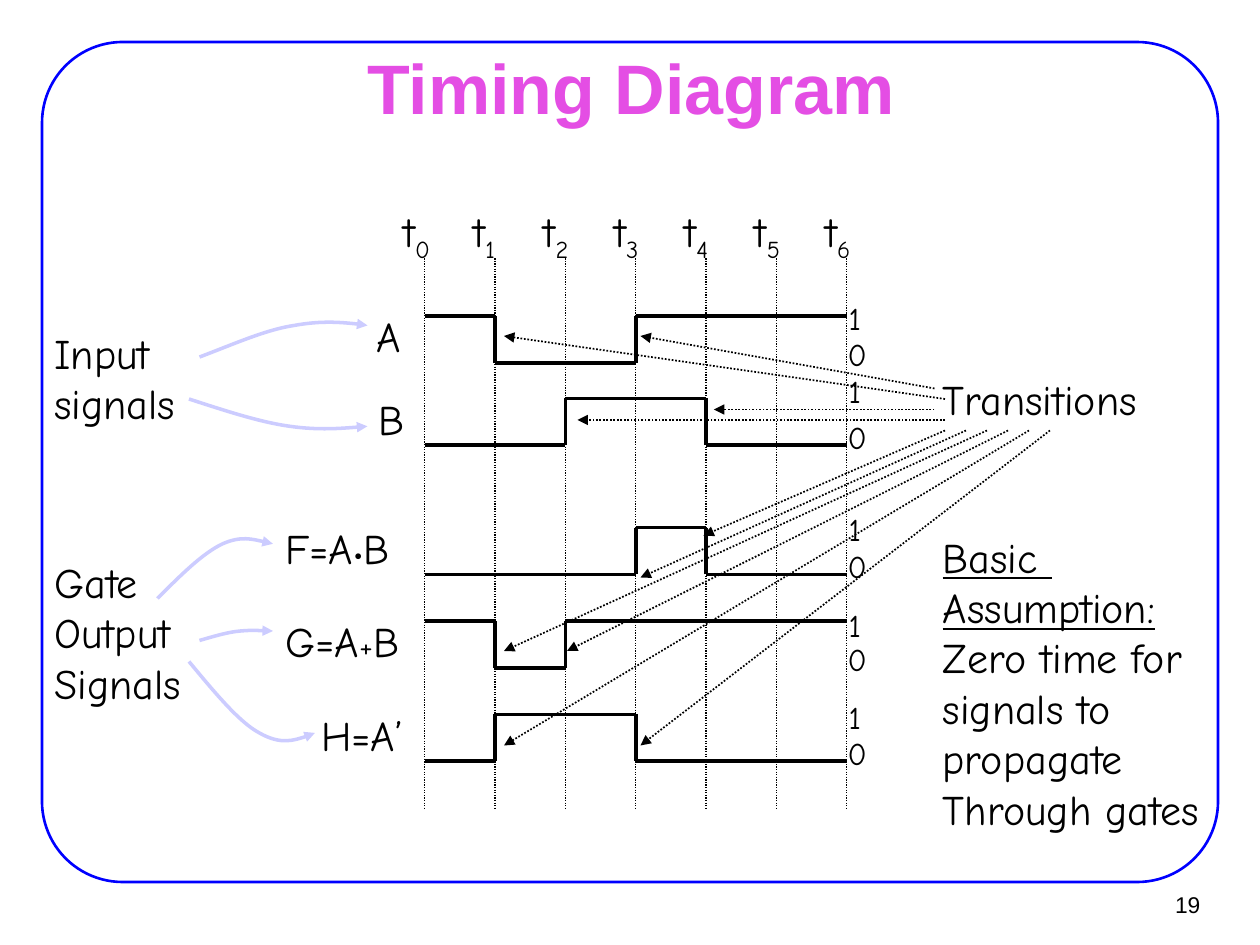
from itertools import pairwise
from lxml.etree import SubElement
from pptx import Presentation
from pptx.dml.color import RGBColor
from pptx.enum.dml import MSO_LINE
from pptx.enum.shapes import MSO_CONNECTOR, MSO_SHAPE
from pptx.enum.text import MSO_ANCHOR, MSO_AUTO_SIZE, PP_ALIGN
from pptx.oxml.ns import qn
from pptx.util import Inches, Pt

COLORS = {"ink": "000000", "title": "E44EE4", "frame": "0000FF", "pointer": "CCCCFF"}
COLUMNS, ROWS = 120, 90
FIRST_TICK, PERIOD, SWING = 40.45, 6.7, 4.45
SMALL = {"size": 18}

# name spans, label column, label width, top row, row of the "1", level per period
SIGNALS = [
    (["A"], 34.7, 5.4, 30.1, 27.85, "100111"),
    (["B"], 34.9, 4.9, 37.95, 34.8, "001100"),
    ([[("F=A", {}), ("•", SMALL), ("B", {})]], 26, 13.4, 50.25, 48, "000100"),
    ([[("G=A", {}), ("+", SMALL), ("B", {})]], 26, 14, 59.15, 57.1, "101111"),
    (["H=A’"], 29.4, 11.2, 68.05, 65.9, "011000"),
]
TRANSITIONS = [
    ((90, 38), (48, 32)), ((89, 37), (61, 32)), ((89, 39), (68, 39)),
    ((90, 40), (55, 40)), ((90, 41), (67, 51)), ((92, 41), (61, 55)),
    ((94, 41), (48, 62)), ((96, 41), (54, 62)), ((98, 41), (48, 71)),
    ((100, 41), (61, 71)),
]
POINTERS = [
    [(19, 34), (22.2, 32.8), (25.3, 31.4), (28, 31), (30.7, 30.5), (34, 30.8), (35, 31)],
    [(18, 38), (21.4, 39.1), (24.7, 40.2), (27.6, 40.6), (30.4, 41), (34, 40.7), (35, 40.6)],
    [(15, 57), (17.2, 54.8), (19.3, 52.7), (21.2, 51.8), (23, 51), (25.3, 51.6), (26, 51.8)],
    [(18, 63), (20.4, 65.9), (22.8, 68.8), (24.7, 69.8), (26.8, 71), (29.3, 70.2), (30, 69.8)],
    [(19, 61), (20.4, 60.6), (21.7, 60.2), (22.9, 60.1), (24.1, 60), (25.6, 60.1), (26, 60.1)],
]


def grid(*units):
    """Turn grid units into slide lengths."""
    return [Inches(unit * 10 / COLUMNS) for unit in units]


def color(name):
    """Look up a colour by its role."""
    return RGBColor.from_string(COLORS[name])


def style_line(line, ink, width, dash=None, arrow=False):
    """Set colour, width, dash and arrowhead of a line."""
    line.color.rgb = color(ink)
    line.width = Pt(width)
    if dash:
        line.dash_style = dash
    if arrow:
        SubElement(line._get_or_add_ln(), qn("a:tailEnd"), type="triangle")


def add_line(page, start, end, width, **style):
    """Draw a straight black line between two grid points."""
    connector = page.shapes.add_connector(MSO_CONNECTOR.STRAIGHT, *grid(*start, *end))
    style_line(connector.line, "ink", width, **style)
    SubElement(connector._element.spPr, qn("a:effectLst"))


def add_curve(page, points):
    """Draw a curved pointer from a start point and Bézier triples."""
    start, *rest = [tuple(grid(*point)) for point in points]
    builder = page.shapes.build_freeform(*start)
    builder.add_line_segments(rest, close=False)
    shape = builder.convert_to_shape()
    shape.shadow.inherit = False
    shape.fill.background()
    steps = list(shape._element.iter(qn("a:lnTo")))
    outline = steps[0].getparent()
    for first in range(0, len(steps), 3):
        curve = SubElement(outline, qn("a:cubicBezTo"))
        for step in steps[first:first + 3]:
            curve.append(step[0])
            outline.remove(step)
    style_line(shape.line, "pointer", 2, arrow=True)


def add_text(page, place, lines, size=24, font="Comic Neue", ink="ink", bold=False,
             align=PP_ALIGN.LEFT, anchor=MSO_ANCHOR.TOP, wrap=False, grow=True):
    """Write lines, each a string or a list of spans with format changes."""
    box = page.shapes.add_textbox(*grid(*place))
    frame = box.text_frame
    frame.word_wrap = wrap
    frame.auto_size = MSO_AUTO_SIZE.SHAPE_TO_FIT_TEXT if grow else MSO_AUTO_SIZE.NONE
    frame.vertical_anchor = anchor
    for index, line in enumerate(lines):
        para = frame.add_paragraph() if index else frame.paragraphs[0]
        para.alignment = align
        for text, change in [(line, {})] if isinstance(line, str) else line:
            span = para.add_run()
            span.text = text
            span.font.name = font
            span.font.size = Pt(change.get("size", size))
            span.font.bold = bold
            span.font.underline = change.get("underline", False)
            span.font.color.rgb = color(ink)
            if "baseline" in change:
                span.font._element.set("baseline", str(change["baseline"] * 1000))


def add_frame(page):
    """Draw the rounded border of the slide."""
    shape = page.shapes.add_shape(MSO_SHAPE.ROUNDED_RECTANGLE, *grid(4, 4, 112, 80))
    shape.adjustments[0] = 0.096
    shape.shadow.inherit = False
    shape.fill.background()
    style_line(shape.line, "frame", 1.5)


def add_ticks(page):
    """Draw the dotted time lines and their labels."""
    for index in range(7):
        column = FIRST_TICK + index * PERIOD
        add_line(page, (column, 24.6), (column, 77), 0.75, dash=MSO_LINE.ROUND_DOT)
        label = [("t", {}), (str(index), {"baseline": -25})]
        add_text(page, (column - 3.25, 19, 5.9, 6), [label])


def add_signal(page, name, left, width, top, one_row, levels):
    """Draw one waveform with its name and level labels."""
    heights = [top if level == "1" else top + SWING for level in levels]
    for index, height in enumerate(heights):
        column = FIRST_TICK + index * PERIOD
        add_line(page, (column, height), (column + PERIOD, height), 2)
    for index, (before, after) in enumerate(pairwise(heights), 1):
        if before != after:
            column = FIRST_TICK + index * PERIOD
            add_line(page, (column, top + SWING), (column, top), 2)
    add_text(page, (left, top - 1.1, width, 6), name)
    add_text(page, (79.65, one_row, 3.7, 4.8), ["1"], size=18)
    add_text(page, (79.55, top + 1.25, 4.2, 4.8), ["0"], size=18)


def main():
    """Build the timing diagram slide and save it."""
    deck = Presentation()
    deck.slide_width, deck.slide_height = grid(COLUMNS, ROWS)
    page = deck.slides.add_slide(deck.slide_layouts[6])
    add_frame(page)
    add_text(page, (108.2, 83.9, 7.3, 4.4), ["19"], size=13, font="Arial",
             align=PP_ALIGN.RIGHT, anchor=MSO_ANCHOR.MIDDLE, grow=False)
    add_text(page, (9.1, 5.3, 102, 5.9), ["Timing Diagram"], size=40, font="Arial",
             ink="title", bold=True, align=PP_ALIGN.CENTER, anchor=MSO_ANCHOR.MIDDLE,
             wrap=True, grow=False)
    add_ticks(page)
    for signal in SIGNALS:
        add_signal(page, *signal)
    for points in POINTERS:
        add_curve(page, points)
    underlined = {"underline": True}
    add_text(page, (4, 30.6, 14.8, 10.8), ["Input", "signals"])
    add_text(page, (4, 52.4, 15.7, 15.6), ["Gate", "Output", "Signals"])
    add_text(page, (88.6, 50, 29.4, 30),
             [[("Basic ", underlined)], [("Assumption:", underlined)], "Zero time for",
              "signals to", "propagate", "Through gates"])
    add_text(page, (88.6, 35, 23.4, 6), ["Transitions"])
    for start, end in TRANSITIONS:
        add_line(page, start, end, 1, dash=MSO_LINE.ROUND_DOT, arrow=True)
    deck.save("out.pptx")


if __name__ == "__main__":
    main()
